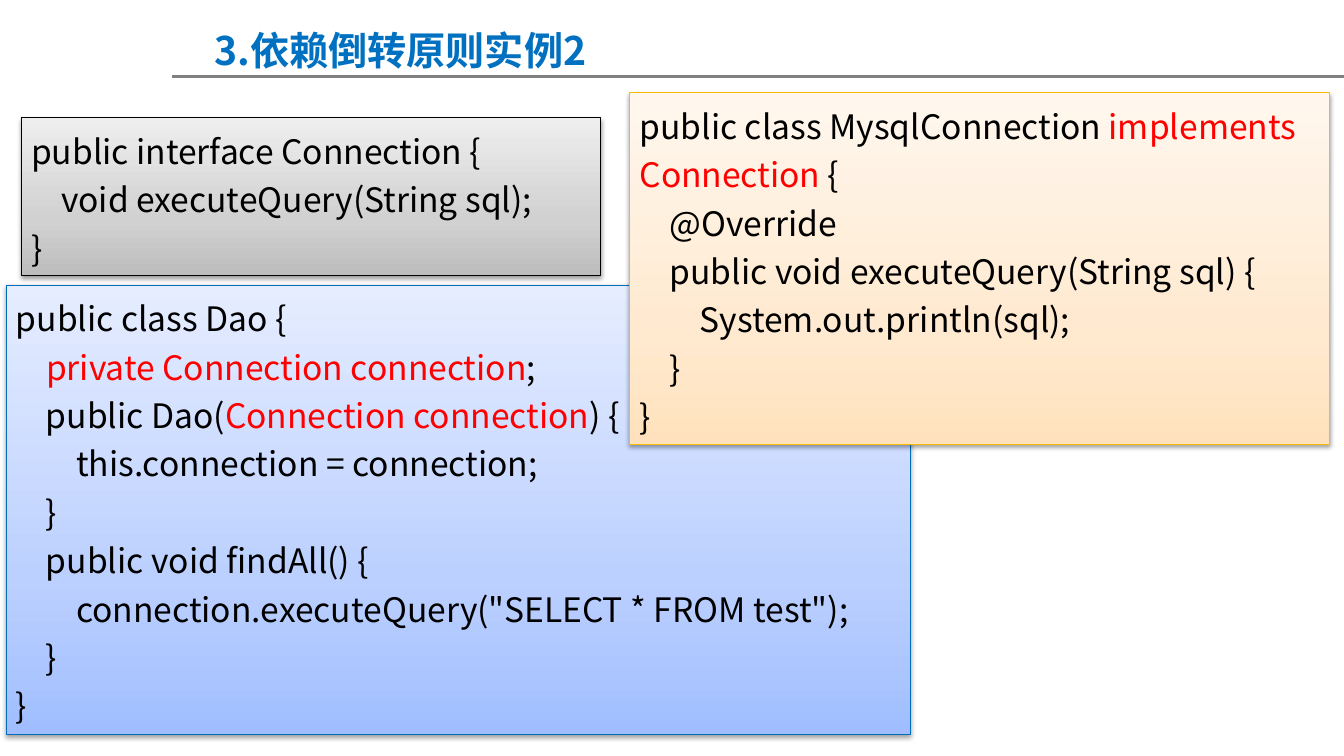
from lxml.etree import SubElement
from pptx import Presentation
from pptx.dml.color import RGBColor
from pptx.enum.shapes import MSO_CONNECTOR as Connector, MSO_SHAPE as Shape
from pptx.enum.text import MSO_ANCHOR as Anchor, MSO_AUTO_SIZE as AutoSize, PP_ALIGN as Align
from pptx.oxml.ns import qn
from pptx.util import Emu, Pt

COLOURS = {
    "title": "0070C0",
    "rule": "808080",
    "code": "000000",
    "highlight": "FF0000",
    "shadow": "000000",
}
PALETTES = {
    "blue": {"line": "006EBC", "stops": ("A0BEFF", "BCD0FF", "E5EDFF")},
    "grey": {"line": "000000", "stops": ("BDBDBD", "D1D1D1", "EEEEEE")},
    "orange": {"line": "F9BC00", "stops": ("FFE2BD", "FFEAD1", "FFF7EE")},
}
STOP_POSITIONS = (0, 35000, 100000)

DAO = """public class Dao {
    |private Connection connection|;
    public Dao(|Connection connection|) {
        this.connection = connection;
    }
    public void findAll() {
        connection.executeQuery("SELECT * FROM test");
    }
}"""
INTERFACE = """public interface Connection {
    void executeQuery(String sql);
}"""
IMPLEMENTATION = """public class MysqlConnection |implements Connection |{
    @Override
    public void executeQuery(String sql) {
        System.out.println(sql);
    }
}"""


class SlideBuilder:
    scale = 9144
    font = "Noto Sans CJK SC"

    def __init__(self, slide):
        self.slide = slide

    def px(self, *lengths):
        return [Emu(length * self.scale) for length in lengths]

    def rule(self, x1, y1, x2, y2):
        line = self.slide.shapes.add_connector(Connector.STRAIGHT, *self.px(x1, y1, x2, y2))
        line.line.color.rgb = RGBColor.from_string(COLOURS["rule"])
        line.line.width = Pt(2)
        SubElement(line._element.spPr, qn("a:effectLst"))

    def run(self, paragraph, text, size, colour, bold=False):
        run = paragraph.add_run()
        run.text = text
        run.font.size = Pt(size)
        run.font.bold = bold
        run.font.name = self.font
        run.font.color.rgb = RGBColor.from_string(COLOURS[colour])
        SubElement(run.font._element, qn("a:ea"), typeface=self.font)

    def title(self, text, *place):
        frame = self.slide.shapes.add_textbox(*self.px(*place)).text_frame
        frame.word_wrap = True
        frame.auto_size = AutoSize.SHAPE_TO_FIT_TEXT
        self.run(frame.paragraphs[0], text, 28, "title", bold=True)

    def gradient(self, box, colours):
        box.fill.gradient()
        box.fill.gradient_angle = 90
        stops = box._element.spPr.find(".//" + qn("a:gsLst"))
        stops.clear()
        for position, colour in zip(STOP_POSITIONS, colours):
            stop = SubElement(stops, qn("a:gs"), pos=str(position))
            SubElement(stop, qn("a:srgbClr"), val=colour)

    def soft_shadow(self, box):
        box.shadow.inherit = False
        effects = box._element.spPr.find(qn("a:effectLst"))
        shadow = SubElement(effects, qn("a:outerShdw"), blurRad="40000", dist="20000",
                            dir="5400000", rotWithShape="0")
        colour = SubElement(shadow, qn("a:srgbClr"), val=COLOURS["shadow"])
        SubElement(colour, qn("a:alpha"), val="38000")

    def code_box(self, code, palette, *place):
        box = self.slide.shapes.add_shape(Shape.RECTANGLE, *self.px(*place))
        self.gradient(box, PALETTES[palette]["stops"])
        box.line.color.rgb = RGBColor.from_string(PALETTES[palette]["line"])
        box.line.width = Pt(0.75)
        self.soft_shadow(box)
        frame = box.text_frame
        frame.word_wrap = True
        frame.auto_size = AutoSize.SHAPE_TO_FIT_TEXT
        frame.vertical_anchor = Anchor.TOP
        for number, code_line in enumerate(code.split("\n")):
            paragraph = frame.add_paragraph() if number else frame.paragraphs[0]
            paragraph.alignment = Align.LEFT
            paragraph.line_spacing = 1.2
            for index, text in enumerate(code_line.split("|")):
                self.run(paragraph, text, 24, "highlight" if index % 2 else "code")


def main():
    deck = Presentation()
    deck.slide_width, deck.slide_height = Emu(1334 * 9144), Emu(750 * 9144)
    builder = SlideBuilder(deck.slides.add_slide(deck.slide_layouts[6]))
    builder.rule(171, 76, 1334, 76)
    builder.code_box(DAO, "blue", 6, 283, 898, 446)
    builder.code_box(INTERFACE, "grey", 21, 117, 575, 156)
    builder.code_box(IMPLEMENTATION, "orange", 625, 92, 695, 349)
    builder.title("3.依赖倒转原则实例2", 203, 21, 756, 57)
    deck.save("out.pptx")


if __name__ == "__main__":
    main()
